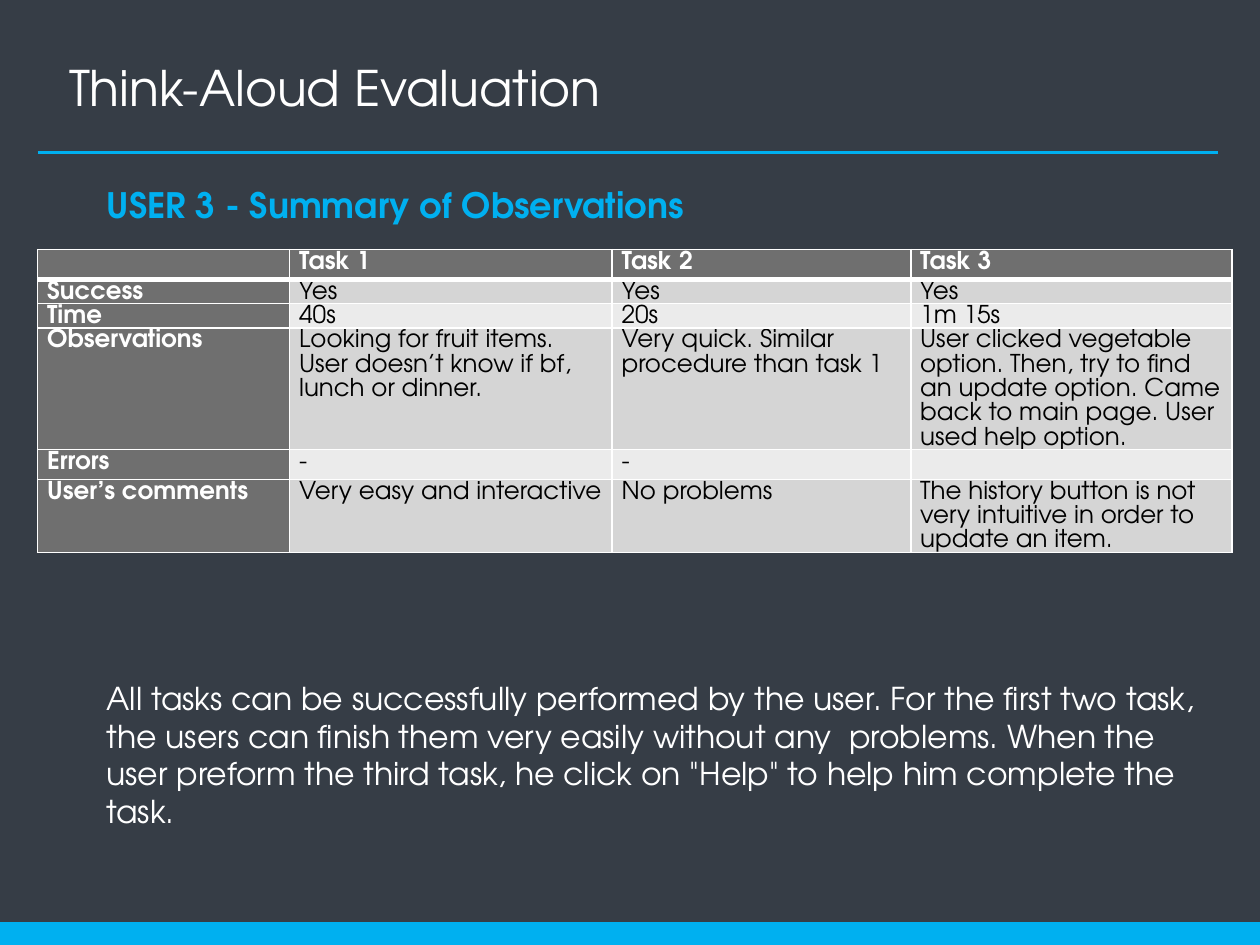
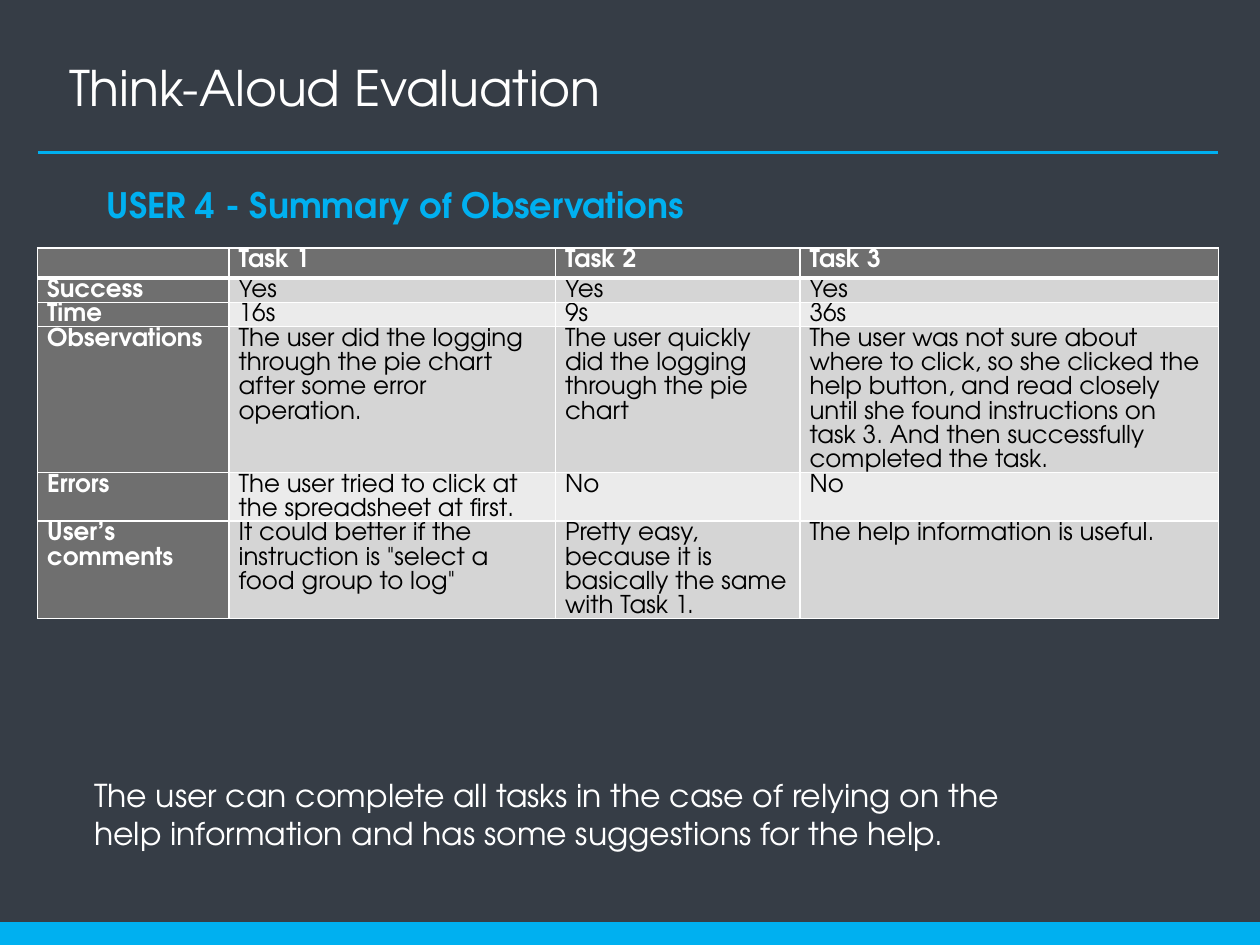
from lxml.etree import SubElement
from pptx import Presentation
from pptx.dml.color import RGBColor
from pptx.enum.shapes import MSO_CONNECTOR, MSO_SHAPE
from pptx.enum.text import MSO_ANCHOR, MSO_AUTO_SIZE, PP_ALIGN
from pptx.oxml.ns import qn
from pptx.util import Cm, Pt

FONT = "TeX Gyre Adventor"
SLATE = RGBColor(0x36, 0x3D, 0x46)
CYAN = RGBColor(0x00, 0xB0, 0xF0)
WHITE = RGBColor(0xFF, 0xFF, 0xFF)
BLACK = RGBColor(0x00, 0x00, 0x00)
HEADING_GREY = RGBColor(0x6F, 0x6F, 0x6F)
BANDS = (RGBColor(0xEB, 0xEB, 0xEB), RGBColor(0xD5, 0xD5, 0xD5))
NBSP = chr(160)
TABLE_LINE = 13.9  # points per line of table text

LABELS = ("Success", "Time", "Observations", "Errors", "User’s comments")
USERS = [
    {
        "heading": "USER 3 - Summary of Observations",
        "table_top": 5.03,
        "columns": (5.08, 6.5, 6.02, 6.48),
        "row_lines": (1, 1, 1, 5, 1, 3),
        "answers": [
            ("Yes", "Yes", "Yes"),
            ("40s", "20s", "1m 15s"),
            ("Looking for fruit items.\nUser doesn’t know if bf, lunch or dinner.",
             "Very quick. Similar procedure than task 1",
             "User clicked vegetable option. Then, try to find an update option. "
             "Came back to main page. User used help option."),
            ("-", "-", ""),
            ("Very easy and interactive", "No problems",
             "The history button is not very intuitive in order to update an item."),
        ],
        "summary": "All tasks can be successfully performed by the user. For the first two "
                   f"task, the users can finish them very easily without any{NBSP}{NBSP}problems. "
                   "When the user preform the third task, he click on \"Help\" to help him "
                   "complete the task.",
        "summary_place": (1.9, 13.56, 22.56, 3.33),
    },
    {
        "heading": "USER 4 - Summary of Observations",
        "table_top": 5.0,
        "columns": (3.86, 6.58, 4.93, 8.43),
        "row_lines": (1, 1, 1, 6, 2, 4),
        "answers": [
            ("Yes", "Yes", "Yes"),
            ("16s", "9s", "36s"),
            ("The user did the logging through the pie chart after some error operation.",
             "The user quickly did the logging through the pie chart",
             "The user was not sure about where to click, so she clicked the help button, "
             "and read closely until she found instructions on task 3. And then "
             "successfully completed the task."),
            ("The user tried to click at the spreadsheet at first.", "No", "No"),
            ("It could better if the instruction is \"select a food group to log\"",
             "Pretty easy, because it is basically the same with Task 1.",
             "The help information is useful."),
        ],
        "summary": "The user can complete all tasks in the case of relying on the "
                   f"help{NBSP}information{NBSP}and has some suggestions for the help.",
        "summary_place": (1.65, 15.52, 22.56, 1.8),
    },
]


def place(shape, left, top, width, height):
    shape.left, shape.top = Cm(left), Cm(top)
    shape.width, shape.height = Cm(width), Cm(height)


def add_run(para, text, size, color, bold=False):
    span = para.add_run()
    span.text = text
    span.font.name = FONT
    span.font.size = Pt(size)
    span.font.bold = bold
    span.font.color.rgb = color


def set_borders(cell, top, bottom):
    """Draw white borders; top and bottom are widths in points, the sides 1."""
    properties = cell._tc.get_or_add_tcPr()
    widths = {"a:lnL": 1, "a:lnR": 1, "a:lnT": top, "a:lnB": bottom}
    for index, (tag, width) in enumerate(widths.items()):
        border = SubElement(properties, qn(tag), w=str(Pt(width)))
        fill = SubElement(border, qn("a:solidFill"))
        SubElement(fill, qn("a:srgbClr"), val=str(WHITE))
        properties.insert(index, border)


class EvaluationDeck:
    def __init__(self):
        self.deck = Presentation()
        self.deck.slide_width, self.deck.slide_height = Cm(25.4), Cm(19.05)
        background = self.deck.slide_master.background.fill
        background.solid()
        background.fore_color.rgb = SLATE
        self.page = None

    def start_page(self, title):
        self.page = self.deck.slides.add_slide(self.deck.slide_layouts[1])
        box = self.page.shapes.title
        place(box, 1.14, 0.43, 23.06, 2.64)
        box.text_frame.vertical_anchor = MSO_ANCHOR.MIDDLE
        para = box.text_frame.paragraphs[0]
        para.alignment = PP_ALIGN.LEFT
        add_run(para, title, 28, WHITE)
        self.add_title_rule()
        self.add_bottom_band()

    def add_title_rule(self):
        rule = self.page.shapes.add_connector(
            MSO_CONNECTOR.STRAIGHT, Cm(0.76), Cm(3.07), Cm(24.56), Cm(3.07))
        rule.line.color.rgb = CYAN
        rule.line.width = Pt(1.5)
        SubElement(rule._element.spPr, qn("a:effectLst"))

    def add_bottom_band(self):
        band = self.page.shapes.add_shape(
            MSO_SHAPE.RECTANGLE, 0, Cm(18.62), Cm(25.4), Cm(0.43))
        band.shadow.inherit = False
        band.fill.solid()
        band.fill.fore_color.rgb = CYAN
        band.line.color.rgb = CYAN
        band.line.width = Pt(1.5)

    def add_heading(self, text):
        box = self.page.placeholders[1]
        place(box, 1.9, 3.58, 21.54, 14.2)
        box.text_frame.auto_size = MSO_AUTO_SIZE.NONE
        para = box.text_frame.paragraphs[0]
        para.space_before, para.space_after = Pt(4), Pt(6)
        properties = para._p.get_or_add_pPr()
        properties.set("marL", "0")
        properties.set("indent", "0")
        SubElement(properties, qn("a:buNone"))
        add_run(para, text, 20, CYAN, bold=True)

    def add_observations(self, top, columns, row_lines, answers):
        rows = [("", "Task 1", "Task 2", "Task 3")]
        rows += [(label, *cells) for label, cells in zip(LABELS, answers)]
        heights = [Pt(TABLE_LINE * lines) for lines in row_lines]
        table = self.page.shapes.add_table(
            len(rows), len(columns), Cm(0.76), Cm(top),
            Cm(sum(columns)), sum(heights)).table
        for column, width in zip(table.columns, columns):
            column.width = Cm(width)
        for row, height in zip(table.rows, heights):
            row.height = height
        for r, texts in enumerate(rows):
            for c, text in enumerate(texts):
                self.fill_cell(table.cell(r, c), text, r, c)

    def fill_cell(self, cell, text, row, column):
        is_heading = row == 0 or column == 0
        cell.margin_left = cell.margin_right = Cm(0.19)
        cell.margin_top = cell.margin_bottom = 0
        cell.fill.solid()
        cell.fill.fore_color.rgb = HEADING_GREY if is_heading else BANDS[row % 2]
        set_borders(cell, top=3 if row == 1 else 1, bottom=3 if row == 0 else 1)
        for index, line in enumerate(text.split("\n")):
            frame = cell.text_frame
            para = frame.add_paragraph() if index else frame.paragraphs[0]
            para.line_spacing = Pt(TABLE_LINE)
            if line:
                add_run(para, line, 14, WHITE if is_heading else BLACK, is_heading)
            else:
                SubElement(para._p, qn("a:endParaRPr"), sz="1400")

    def add_summary(self, text, position):
        box = self.page.shapes.add_textbox(*(Cm(length) for length in position))
        box.text_frame.word_wrap = True
        add_run(box.text_frame.paragraphs[0], text, 18, WHITE)


def main():
    builder = EvaluationDeck()
    for user in USERS:
        builder.start_page("Think-Aloud Evaluation")
        builder.add_heading(user["heading"])
        builder.add_observations(
            user["table_top"], user["columns"], user["row_lines"], user["answers"])
        builder.add_summary(user["summary"], user["summary_place"])
    builder.deck.save("out.pptx")


if __name__ == "__main__":
    main()
